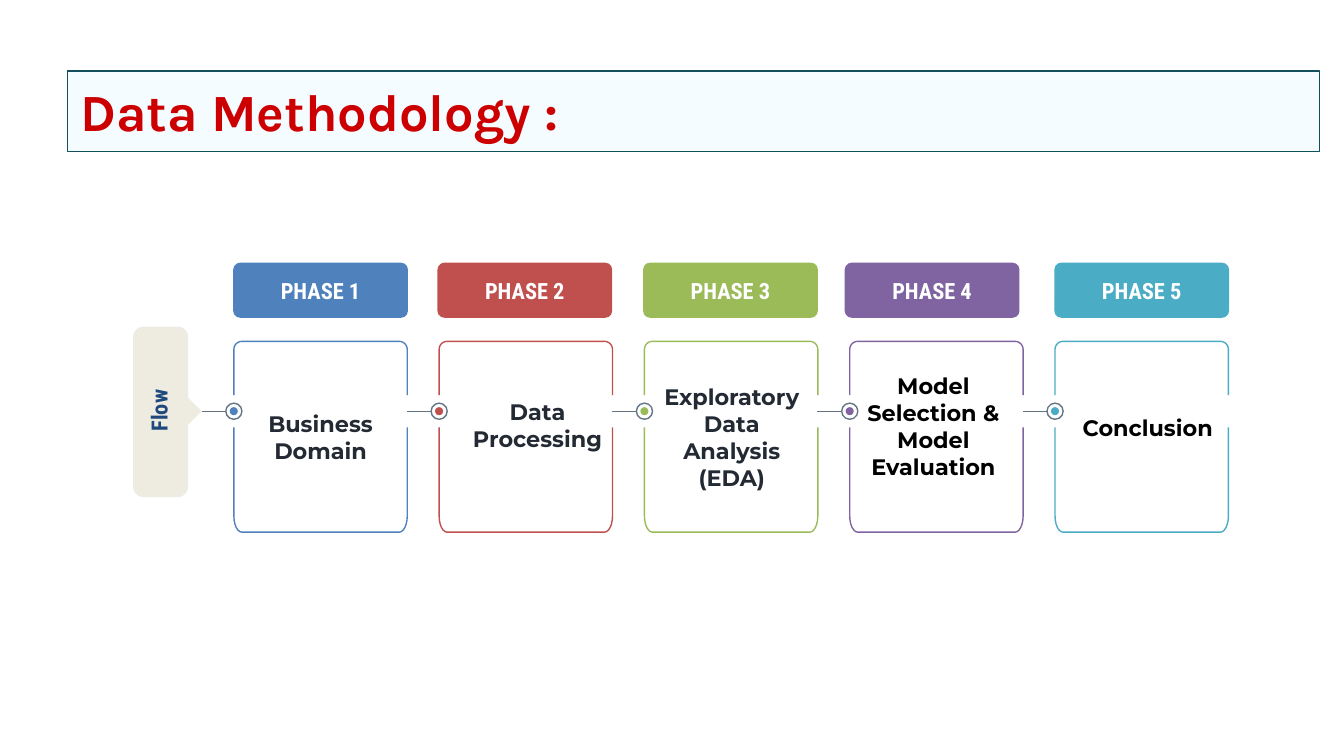
from math import cos, radians, sin

from lxml import etree
from pptx import Presentation
from pptx.dml.color import RGBColor
from pptx.enum.shapes import MSO_CONNECTOR, MSO_SHAPE
from pptx.enum.text import MSO_ANCHOR, PP_ALIGN
from pptx.oxml.ns import qn
from pptx.util import Inches, Pt

RECT = MSO_SHAPE.RECTANGLE
ROUND = MSO_SHAPE.ROUNDED_RECTANGLE
OVAL = MSO_SHAPE.OVAL
STRAIGHT = MSO_CONNECTOR.STRAIGHT
TOP, MIDDLE = MSO_ANCHOR.TOP, MSO_ANCHOR.MIDDLE
LEFT, CENTER = PP_ALIGN.LEFT, PP_ALIGN.CENTER

HEAD, BODY, TITLE = "Roboto Condensed", "Montserrat", "Karla"
GREY, INK, BLACK, WHITE = "647586", "232A33", "000000", "FFFFFF"
START, END, WIDTH, AXIS = 1.74, 7.85, 1.29, 3.06

# fill, header left, label, label box (left, top, width), label colour
PHASES = [
    ("4F81BD", 1.74, "Business Domain", (1.74, 2.54, 1.29), INK),
    ("C0504D", 3.26, "Data Processing", (3.37, 2.45, 1.26), INK),
    ("9BBB59", 4.79, "Exploratory Data Analysis (EDA)", (4.8, 2.54, 1.29), INK),
    ("8064A2", 6.29, "Model Selection & Model Evaluation", (6.3, 2.46, 1.29), BLACK),
    ("4BACC6", 7.85, "Conclusion", (7.94, 2.47, 1.2), BLACK),
]
STEP = (END - START) / (len(PHASES) - 1)


def color(code):
    """Turn a hex string into a colour."""
    return RGBColor.from_string(code)


def paint(shape, fill=None, line=None):
    """Set fill and outline, and drop the shadow."""
    shape.shadow.inherit = False
    if fill:
        shape.fill.solid()
        shape.fill.fore_color.rgb = color(fill)
    else:
        shape.fill.background()
    if line:
        shape.line.color.rgb = color(line)
        shape.line.width = Pt(0.75)
    else:
        shape.line.fill.background()


def write(shape, text, font, size, code, align=CENTER, anchor=MIDDLE, inset=0.1):
    """Put one bold run into a shape and return its paragraph."""
    frame = shape.text_frame
    frame.word_wrap = True
    frame.vertical_anchor = anchor
    frame.margin_left = frame.margin_right = Inches(0.1)
    frame.margin_top = frame.margin_bottom = Inches(inset)
    para = frame.paragraphs[0]
    para.alignment = align
    run = para.add_run()
    run.text = text
    run.font.name = font
    run.font.size = Pt(size)
    run.font.bold = True
    run.font.color.rgb = color(code)
    return para


def block(slide, kind, box, fill=None, line=None):
    """Add a preset shape."""
    shape = slide.shapes.add_shape(kind, *map(Inches, box))
    paint(shape, fill, line)
    return shape


def label(slide, box, text, font, code):
    """Add a text box with centred text."""
    shape = slide.shapes.add_textbox(*map(Inches, box))
    write(shape, text, font, 12, code)
    return shape


def arc(x, y, wide, high, start):
    """List the points of a quarter turn around a centre."""
    turns = [radians(start + 15 * i) for i in range(7)]
    return [(x + wide * cos(t), y + high * sin(t)) for t in turns]


def outline(slide, points, fill=None, line=None, close=False):
    """Add a freeform through the points."""
    spots = [(Inches(x), Inches(y)) for x, y in points]
    maker = slide.shapes.build_freeform(*spots[0])
    maker.add_line_segments(spots[1:], close=close)
    paint(maker.convert_to_shape(), fill, line)


def link(slide, left, right, y):
    """Add a level grey line."""
    ends = map(Inches, (left, y, right, y))
    line = slide.shapes.add_connector(STRAIGHT, *ends)
    line.line.color.rgb = color(GREY)
    line.line.width = Pt(0.75)
    etree.SubElement(line._element.spPr, qn("a:effectLst"))


def frame(slide, left, code):
    """Draw the two open halves of a phase box."""
    right = left + WIDTH
    near, far = left + 0.06, right - 0.06
    upper = arc(near, 2.6, 0.06, 0.06, 180) + arc(far, 2.6, 0.06, 0.06, 270)
    lower = arc(far, 3.84, 0.06, 0.12, 0) + arc(near, 3.84, 0.06, 0.12, 90)
    outline(slide, [(left, 2.94), *upper, (right, 2.94)], line=code)
    outline(slide, [(right, 3.18), *lower, (left, 3.18)], line=code)


def node(slide, x, code):
    """Draw the lead line, ring and dot of a phase."""
    link(slide, x - 0.24, x - 0.06, AXIS)
    block(slide, OVAL, (x - 0.06, AXIS - 0.06, 0.12, 0.12), line=GREY)
    block(slide, OVAL, (x - 0.03, AXIS - 0.03, 0.06, 0.06), fill=code)


def header(slide, left, text, code):
    """Add the coloured heading of a phase."""
    shape = block(slide, ROUND, (left, 1.96, WIDTH, 0.4), code, code)
    shape.adjustments[0] = 0.12
    write(shape, text, HEAD, 12, WHITE)


def flow(slide):
    """Add the pointed tag with its upright word."""
    points = arc(1.07, 2.51, 0.08, 0.08, 180) + arc(1.32, 2.51, 0.08, 0.08, 270)
    points += [(1.4, 2.96), (1.5, AXIS), (1.4, 3.16)]
    points += arc(1.32, 3.62, 0.08, 0.08, 0) + arc(1.07, 3.62, 0.08, 0.08, 90)
    outline(slide, points, fill="EEECE1", close=True)
    label(slide, (0.55, 2.98, 1.26, 0.15), "Flow", HEAD, "1F497D").rotation = 270


def title(slide):
    """Add the title bar."""
    bar = block(slide, RECT, (0.5, 0.53, 9.32, 0.6), "F5FCFF", "124F5C")
    para = write(bar, "Data Methodology :", TITLE, 28, "CC0000", LEFT, TOP, 0.06)
    para.space_before = Pt(4.4)


def main():
    """Build and save the slide."""
    deck = Presentation()
    deck.slide_width = Inches(10)
    deck.slide_height = Inches(10 * 9 / 16)
    slide = deck.slides.add_slide(deck.slide_layouts[6])
    for i, (code, left, text, (x, y, wide), ink) in enumerate(PHASES):
        spot = START + STEP * i
        frame(slide, spot, code)
        node(slide, spot, code)
        header(slide, left, f"PHASE {i + 1}", code)
        label(slide, (x, y, wide, 1.42), text, BODY, ink)
    flow(slide)
    title(slide)
    deck.save("out.pptx")


if __name__ == "__main__":
    main()
